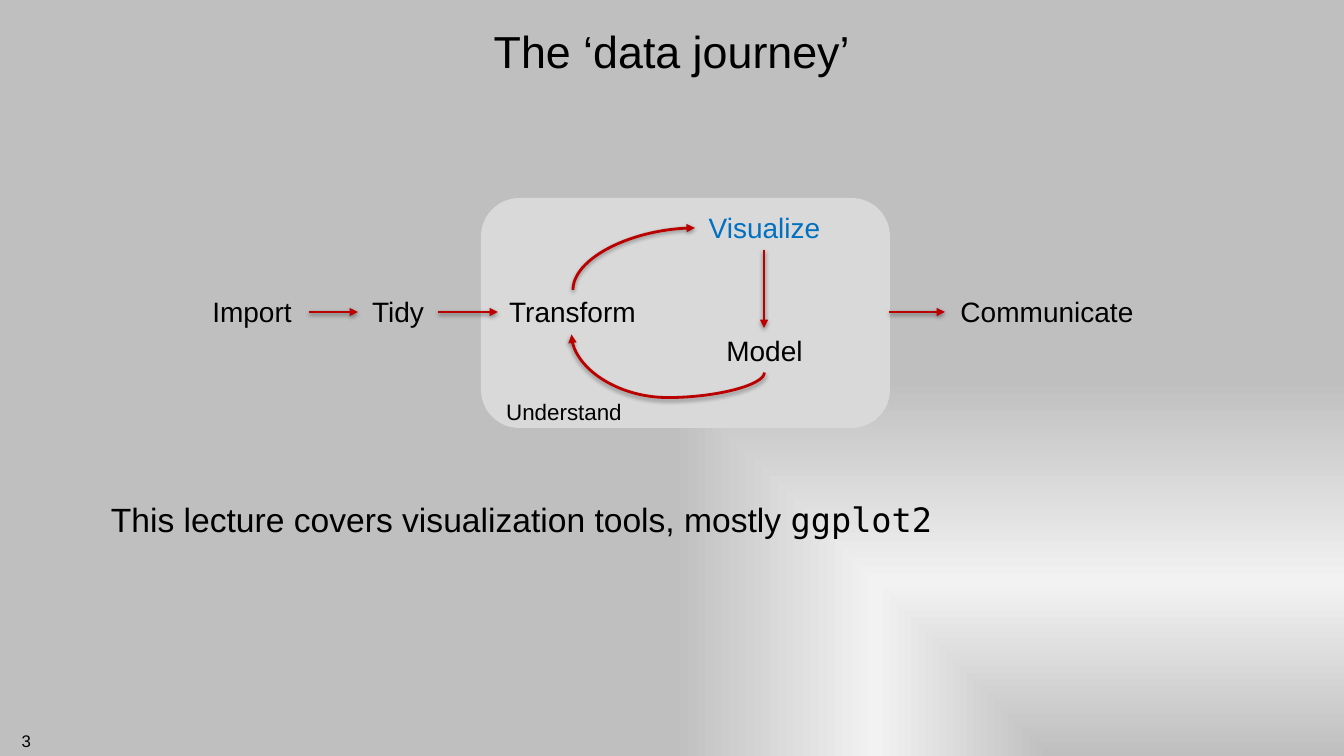
from pptx import Presentation
from pptx.dml.color import RGBColor
from pptx.enum.shapes import MSO_CONNECTOR, MSO_SHAPE
from pptx.enum.text import MSO_ANCHOR, PP_ALIGN
from pptx.oxml import parse_xml
from pptx.oxml.ns import nsdecls, qn
from pptx.util import Pt

PX = 12801600 // 1411  # EMU in one px, 100.8 px to the inch
BLACK = RGBColor(0x00, 0x00, 0x00)
BLUE = RGBColor(0x00, 0x70, 0xC0)
RED = RGBColor(0xBB, 0x00, 0x00)
PANEL_GRAY = RGBColor(0xD9, 0xD9, 0xD9)
EDGE_GRAY = RGBColor(0xBF, 0xBF, 0xBF)
LIGHT_GRAY = RGBColor(0xF2, 0xF2, 0xF2)


def px(*lengths):
    return [length * PX for length in lengths]


def write(box, runs, size, align, color=BLACK):
    """Fill the first paragraph of a box with (text, font) runs."""
    para = box.text_frame.paragraphs[0]
    para.alignment = align
    for text, font in runs:
        span = para.add_run()
        span.text = text
        span.font.name = font
        span.font.size = Pt(size)
        span.font.color.rgb = color
    return para


deck = Presentation()
deck.slide_width, deck.slide_height = px(1344, 756)
slide = deck.slides.add_slide(deck.slide_layouts[5])

# Background: gradient that spreads from the bottom right corner
slide.background.fill.solid()
background = slide.element.cSld.bg.bgPr
stops = "".join(
    f'<a:gs pos="{percent * 1000}"><a:srgbClr val="{color}"/></a:gs>'
    for percent, color in [(0, EDGE_GRAY), (46, LIGHT_GRAY), (100, EDGE_GRAY)]
)
background.replace(background.find(qn("a:solidFill")), parse_xml(
    f'<a:gradFill {nsdecls("a")} rotWithShape="1"><a:gsLst>{stops}</a:gsLst>'
    '<a:path path="rect"><a:fillToRect l="100000" t="100000"/></a:path>'
    '<a:tileRect r="-100000" b="-100000"/></a:gradFill>'
))

# Slide number, title and body text
number = slide.shapes.add_textbox(*px(0, 726, 41, 30))
number.text_frame.word_wrap = False
write(number, [("3", "Arial")], 12, PP_ALIGN.RIGHT)

title = slide.shapes.title
title.left, title.top, title.width, title.height = px(101, 0, 1142, 101)
title.text_frame.vertical_anchor = MSO_ANCHOR.MIDDLE
write(title, [("The ‘data journey’", "Arial")], 32, PP_ALIGN.CENTER)

body = slide.shapes.add_textbox(*px(87, 489, 1188, 186))
body.text_frame.word_wrap = True
for box in (title, body):
    frame = box.text_frame
    frame.margin_left = frame.margin_right = 10 * PX
    frame.margin_top = frame.margin_bottom = 10 * PX
lecture = write(body, [
    ("This lecture covers visualization tools, mostly ", "Arial"),
    ("ggplot2", "DejaVu Sans Mono"),
], 24, PP_ALIGN.LEFT)
lecture.space_before = Pt(12)
lecture._p.get_or_add_pPr().set("marL", str(14 * PX))

# Diagram: panel and step names
diagram = slide.shapes.add_group_shape().shapes
panel = diagram.add_shape(MSO_SHAPE.ROUNDED_RECTANGLE, *px(481, 198, 409, 230))
panel.shadow.inherit = False
panel.fill.solid()
panel.fill.fore_color.rgb = PANEL_GRAY
panel.line.fill.background()

LABELS = [  # text, left, top, width, height, size, color
    ("Import", 195, 290, 114, 44, 20, BLACK),
    ("Tidy", 358, 290, 80, 44, 20, BLACK),
    ("Transform", 498, 290, 149, 44, 20, BLACK),
    ("Visualize", 695, 206, 139, 44, 20, BLUE),
    ("Model", 714, 329, 101, 44, 20, BLACK),
    ("Communicate", 945, 290, 204, 44, 20, BLACK),
    ("Understand", 468, 393, 192, 37, 16, BLACK),
]
for text, left, top, width, height, size, color in LABELS:
    label = diagram.add_textbox(*px(left, top, width, height))
    label.text_frame.word_wrap = True
    write(label, [(text, "Arial")], size, PP_ALIGN.CENTER, color)

# Arrows: ends before rotation, preset, rotation in degrees, bend in percent
ARROWS = [
    ((309, 312), (358, 312), "line", 0, None),
    ((438, 312), (498, 312), "line", 0, None),
    ((889, 312), (945, 312), "line", 0, None),
    ((687, 257), (649, 450), "curvedConnector3", 90, -65.9),
    ((665, 320), (603, 198), "curvedConnector2", 90, None),
    ((725, 289), (803, 289), "curvedConnector3", 90, 50),
]
for start, end, preset, rotation, bend in ARROWS:
    arrow = diagram.add_connector(MSO_CONNECTOR.STRAIGHT, *px(*start, *end))
    arrow.line.color.rgb = RED
    arrow.line.width = Pt(2)
    properties = arrow._element.spPr
    properties.find(qn("a:xfrm")).set("rot", str(rotation * 60000))
    guide = "" if bend is None else f'<a:gd name="adj1" fmla="val {round(bend * 1000)}"/>'
    properties.replace(properties.find(qn("a:prstGeom")), parse_xml(
        f'<a:prstGeom {nsdecls("a")} prst="{preset}"><a:avLst>{guide}</a:avLst></a:prstGeom>'
    ))
    properties.find(qn("a:ln")).append(parse_xml(f'<a:tailEnd {nsdecls("a")} type="triangle"/>'))
    properties.append(parse_xml(
        f'<a:effectLst {nsdecls("a")}>'
        '<a:outerShdw blurRad="40000" dist="20000" dir="5400000" rotWithShape="0">'
        '<a:srgbClr val="000000"><a:alpha val="38000"/></a:srgbClr>'
        '</a:outerShdw></a:effectLst>'
    ))

deck.save("out.pptx")
